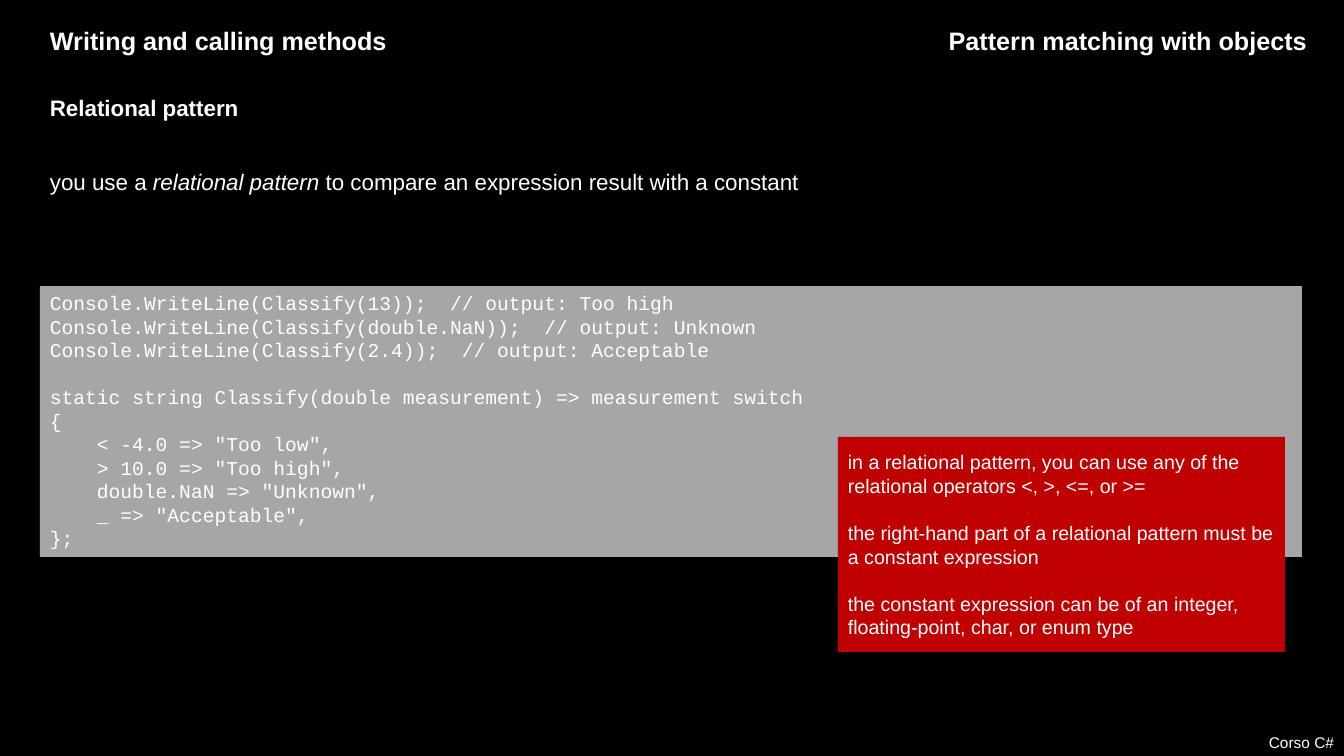
"""Builds the relational pattern slide of a C# course."""
from pptx import Presentation
from pptx.dml.color import RGBColor
from pptx.enum.shapes import MSO_SHAPE
from pptx.enum.text import MSO_ANCHOR, PP_ALIGN
from pptx.util import Pt

PX = 914400 / 100.8
BLACK = RGBColor(0x00, 0x00, 0x00)
WHITE = RGBColor(0xFF, 0xFF, 0xFF)
GREY = RGBColor(0xA6, 0xA6, 0xA6)
RED = RGBColor(0xC0, 0x00, 0x00)
SANS, MONO = "Arial", "Courier New"
BLANK_LINE = 16.8
CODE_INDENT = 47

FOOTER = "Corso C#"
CHAPTER = "Writing and calling methods"
TOPIC = "Pattern matching with objects"
HEADING = "Relational pattern"
LEAD = [("you use a ", False), ("relational pattern ", True),
        ("to compare an expression result with a constant", False)]
CODE_CALLS = [
    "Console.WriteLine(Classify(13));  // output: Too high",
    "Console.WriteLine(Classify(double.NaN));  // output: Unknown",
    "Console.WriteLine(Classify(2.4));  // output: Acceptable",
]
CODE_HEAD = ["static string Classify(double measurement) => measurement switch", "{"]
CODE_ARMS = ['< -4.0 => "Too low",', '> 10.0 => "Too high",',
             'double.NaN => "Unknown",', '_ => "Acceptable",']
CODE_END = "};"
NOTES = [
    "in a relational pattern, you can use any of the relational operators <, >, <=, or >=",
    "the right-hand part of a relational pattern must be a constant expression",
    "the constant expression can be of an integer, floating-point, char, or enum type",
]


def px(value):
    return round(value * PX)


def add_box(slide, box, fill=None, anchor=MSO_ANCHOR.TOP):
    place = [px(value) for value in box]
    if fill is None:
        shape = slide.shapes.add_textbox(*place)
    else:
        shape = slide.shapes.add_shape(MSO_SHAPE.RECTANGLE, *place)
        shape.shadow.inherit = False
        shape.fill.solid()
        shape.fill.fore_color.rgb = fill
        shape.line.fill.background()
    frame = shape.text_frame
    frame.word_wrap = True
    frame.vertical_anchor = anchor
    return frame


def add_line(frame, text, size, font=SANS, bold=False, align=PP_ALIGN.LEFT,
             before=0, spacing=1.0, indent=0):
    first = frame.paragraphs[0]
    paragraph = frame.add_paragraph() if first.runs else first
    paragraph.alignment = align
    paragraph.space_before = Pt(before)
    paragraph.line_spacing = spacing
    if indent:
        properties = paragraph._p.get_or_add_pPr()
        properties.set("marL", str(px(indent)))
        properties.set("indent", "0")
    for words, italic in [(text, False)] if isinstance(text, str) else text:
        run = paragraph.add_run()
        run.text = words
        run.font.name = font
        run.font.size = Pt(size)
        run.font.bold = bold
        run.font.italic = italic
        run.font.color.rgb = WHITE


prs = Presentation()
prs.slide_width, prs.slide_height = px(1344), px(756)
slide = prs.slides.add_slide(prs.slide_layouts[6])
slide.background.fill.solid()
slide.background.fill.fore_color.rgb = BLACK

add_line(add_box(slide, (0, 728, 1344, 29)), FOOTER, 11, align=PP_ALIGN.RIGHT)
add_line(add_box(slide, (40, 20, 361, 40)), CHAPTER, 18, bold=True)
add_line(add_box(slide, (620, 20, 697, 40)), TOPIC, 18, bold=True, align=PP_ALIGN.RIGHT)

intro = add_box(slide, (40, 76, 1262, 121))
add_line(intro, HEADING, 16, bold=True, before=24, spacing=1.5)
add_line(intro, LEAD, 16, before=24, spacing=1.5)

code = add_box(slide, (40, 286, 1262, 271), GREY)
for line in CODE_CALLS + CODE_HEAD + CODE_ARMS + [CODE_END]:
    add_line(code, line, 14, MONO,
             before=BLANK_LINE if line == CODE_HEAD[0] else 0,
             indent=CODE_INDENT if line in CODE_ARMS else 0)

notes = add_box(slide, (838, 437, 447, 215), RED, MSO_ANCHOR.MIDDLE)
for number, note in enumerate(NOTES):
    add_line(notes, note, 14, before=BLANK_LINE if number else 0)

prs.save("out.pptx")
